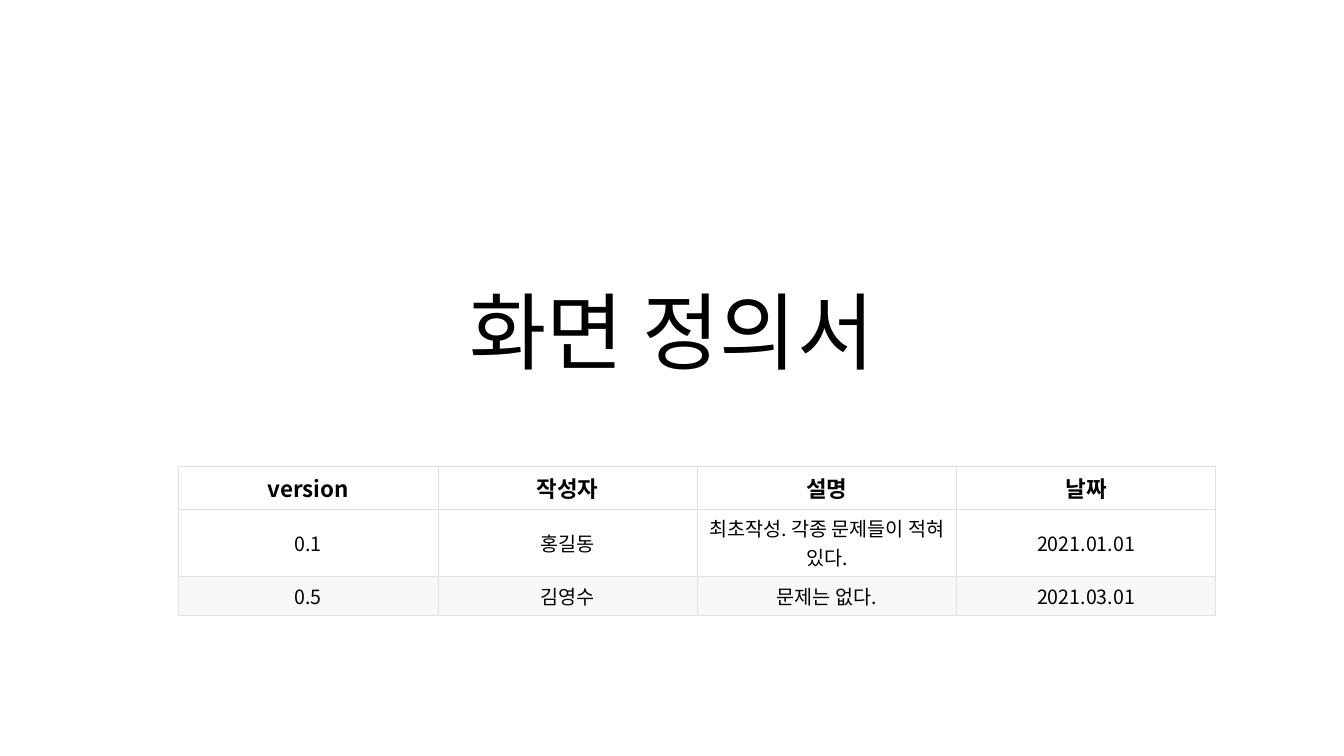
from dataclasses import dataclass
from lxml.etree import SubElement as Sub
from pptx import Presentation as Deck
from pptx.dml.color import RGBColor as Rgb
from pptx.enum.text import MSO_ANCHOR as Anchor, MSO_AUTO_SIZE as Fit, PP_ALIGN as Align
from pptx.oxml import parse_xml
from pptx.oxml.ns import nsdecls, qn
from pptx.table import _Cell as Cell
from pptx.text.text import TextFrame as Frame
from pptx.util import Cm, Pt

FONT = "Noto Sans CJK KR"
COLORS = {"text": "000000", "plain": "FFFFFF", "band": "F8F8F8", "rule": "DFE2E5"}
RULE = Pt(0.6)


@dataclass
class Row:
    texts: tuple[str, ...]
    height: float
    fill: str = "plain"
    size: int = 14
    bold: bool = False


ROWS = (
    Row(("version", "작성자", "설명", "날짜"), 1.06, size=16, bold=True),
    Row(("0.1", "홍길동", "최초작성. 각종 문제들이 적혀 있다.", "2021.01.01"), 1.7),
    Row(("0.5", "김영수", "문제는 없다.", "2021.03.01"), 0.98, fill="band"),
)


def write(frame: Frame, text: str, size: int, bold: bool = False) -> None:
    frame.text = text
    para = frame.paragraphs[0]
    para.alignment = Align.CENTER
    run = para.runs[0]
    font = run.font
    font.name, font.size, font.bold = FONT, Pt(size), bold
    font.color.rgb = Rgb.from_string(COLORS["text"])
    Sub(run._r.get_or_add_rPr(), qn("a:ea"), typeface=FONT)


def border(cell: Cell) -> None:
    props = cell._tc.get_or_add_tcPr()
    for spot, side in enumerate("LRTB"):
        props.insert(spot, parse_xml(
            f'<a:ln{side} {nsdecls("a")} w="{RULE}"><a:solidFill>'
            f'<a:srgbClr val="{COLORS["rule"]}"/></a:solidFill></a:ln{side}>'))


def paint(cell: Cell, text: str, row: Row) -> None:
    write(cell.text_frame, text, row.size, row.bold)
    cell.vertical_anchor = Anchor.MIDDLE
    cell.margin_left = cell.margin_right = Cm(0.28)
    cell.margin_top = cell.margin_bottom = Cm(0.13)
    cell.fill.solid()
    cell.fill.fore_color.rgb = Rgb.from_string(COLORS[row.fill])
    border(cell)


deck = Deck()
deck.slide_width, deck.slide_height = Cm(33.87), Cm(19.05)
slide = deck.slides.add_slide(deck.slide_layouts[0])
sub = slide.placeholders[1]._element
sub.getparent().remove(sub)

title = slide.shapes.title
title.left, title.top, title.width, title.height = Cm(4.23), Cm(3.12), Cm(25.4), Cm(6.63)
frame = title.text_frame
write(frame, "화면 정의서", 60)
frame.paragraphs[0].line_spacing = 0.9
frame.vertical_anchor = Anchor.BOTTOM
frame.auto_size = Fit.NONE
frame.word_wrap = True

count = len(ROWS[0].texts)
tall = sum(row.height for row in ROWS)
table = slide.shapes.add_table(
    len(ROWS), count, Cm(4.5), Cm(11.75), Cm(26.14), Cm(tall)).table
table.first_row = table.horz_banding = False
for line, row in zip(table.rows, ROWS):
    line.height = Cm(row.height)
    for cell, text in zip(line.cells, row.texts):
        paint(cell, text, row)

deck.save("out.pptx")
